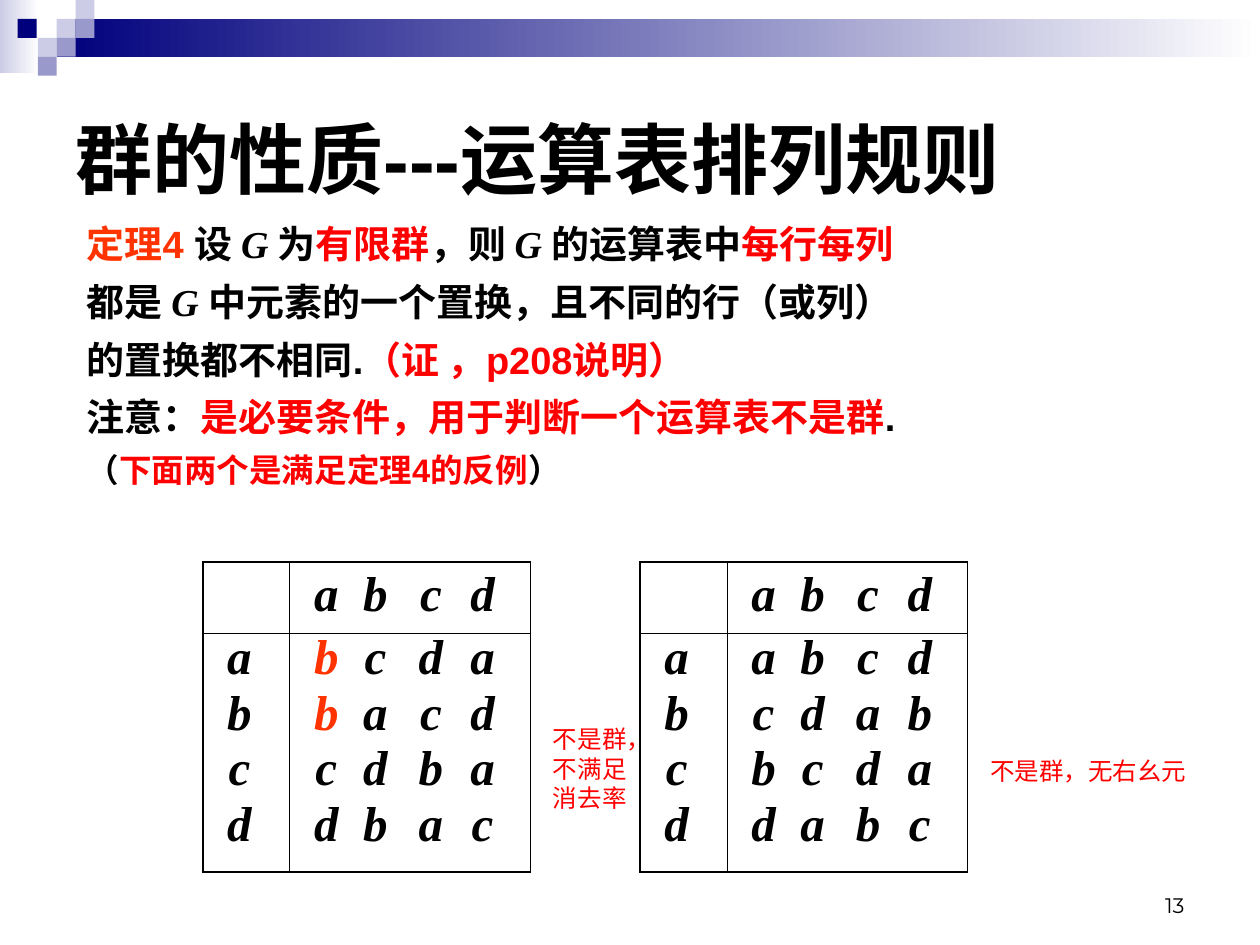
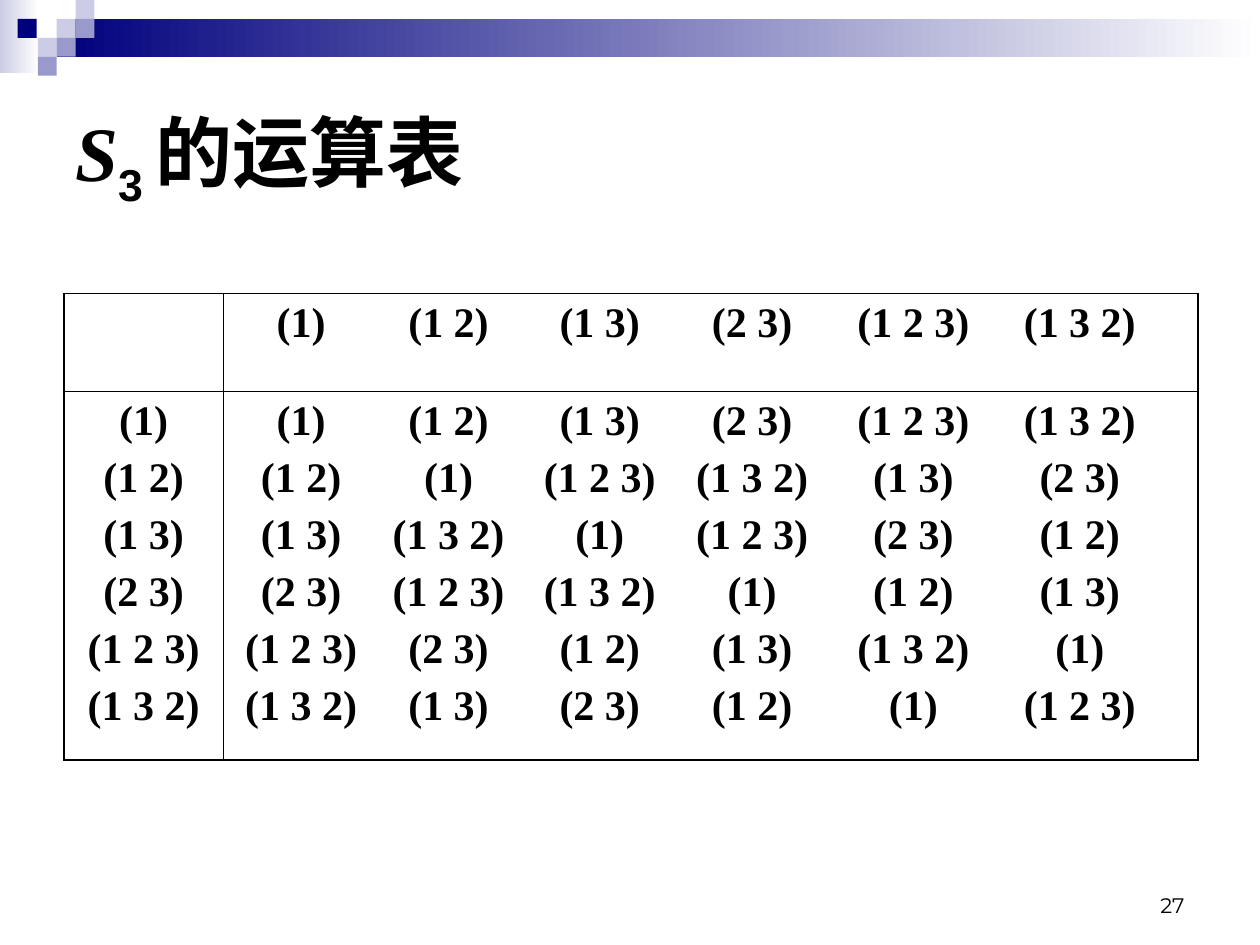
from lxml.etree import SubElement
from pptx import Presentation
from pptx.dml.color import RGBColor
from pptx.enum.lang import MSO_LANGUAGE_ID
from pptx.enum.shapes import MSO_SHAPE
from pptx.enum.text import MSO_ANCHOR, PP_ALIGN
from pptx.oxml.ns import qn
from pptx.util import Inches, Pt

NAVY = RGBColor(0x00, 0x00, 0x7D)
LILAC = RGBColor(0xCC, 0xCC, 0xE6)
VIOLET = RGBColor(0x99, 0x99, 0xCC)
WHITE = RGBColor(0xFF, 0xFF, 0xFF)
BLACK = RGBColor(0x00, 0x00, 0x00)
RED = RGBColor(0xFF, 0x00, 0x00)
ORANGE = RGBColor(0xFF, 0x33, 0x00)

SANS, SERIF, NUMBER = "Arial", "Times New Roman", "Montserrat"
OUTER, INNER = Pt(1.08), Pt(0.45)

TILE = 0.15
TILES = [(0.45, 0.15, LILAC), (0.6, 0, LILAC), (0.6, 0.15, VIOLET),
         (0.3, 0.3, LILAC), (0.14, 0.15, NAVY), (0.45, 0.3, VIOLET),
         (0.3, 0.45, VIOLET)]

# A line of text is a list of pieces: plain strings or (string, overrides).
G = ("G ", dict(name=SERIF, italic=True))
THEOREM = [
    [("定理4 ", dict(color=ORANGE)), "设 ", G, "为", ("有限群", dict(color=RED)),
     "，则 ", G, "的运算表中", ("每行每列", dict(color=RED))],
    ["都是 ", G, "中元素的一个置换，且不同的行（或列）"],
    ["的置换都不相同.", ("（证 ，p208说明）", dict(color=RED))],
    ["注意：", ("是必要条件，用于判断一个运算表不是群", dict(color=RED)), "."],
]
COUNTEREXAMPLES = ["（", ("下面两个是满足定理4的反例", dict(color=RED)), "）"]

LETTERS = ["a", "b", "c", "d"]
LETTER_STOPS = [0.19, 0.58, 1.02, 1.43]
ORANGE_B = ("b", dict(color=ORANGE))
NO_CANCELLATION = [[ORANGE_B, "c", "d", "a"], [ORANGE_B, "a", "c", "d"],
                   "cdba", "dbac"]
NO_IDENTITY = ["abcd", "cdab", "bcda", "dabc"]

PERMUTATIONS = ["(1)", "(1 2)", "(1 3)", "(2 3)", "(1 2 3)", "(1 3 2)"]
PERMUTATION_STOPS = [0.52, 1.69, 2.89, 4.1, 5.38, 6.7]
# Each digit is the place of a product in PERMUTATIONS.
S3_PRODUCTS = ["012345", "104523", "250431", "345012", "431250", "523104"]


def style(font, name=None, size=None, color=None, bold=None, italic=None):
    """Set the given properties of a font."""
    if name:
        font.name = name
    if size:
        font.size = Pt(size)
    if color is not None:
        font.color.rgb = color
    if bold is not None:
        font.bold = bold
    if italic is not None:
        font.italic = italic


def write(paragraph, pieces, before=0, **look):
    """Fill a paragraph with pieces that share one look."""
    paragraph.space_before = Pt(before)
    style(paragraph.font, **look)
    for piece in pieces:
        words, changes = (piece, {}) if isinstance(piece, str) else piece
        changes = dict(changes)
        baseline = changes.pop("baseline", None)
        run = paragraph.add_run()
        run.text = words
        run.font.language_id = MSO_LANGUAGE_ID.SIMPLIFIED_CHINESE
        style(run.font, **changes)
        if baseline:
            run.font._element.set("baseline", str(baseline))


def next_paragraph(frame, index):
    """Give the first paragraph of a frame, or a new one after it."""
    return frame.add_paragraph() if index else frame.paragraphs[0]


def add_text(slide, left, top, width, height, anchor=MSO_ANCHOR.TOP):
    """Add a wrapping text box and return its frame."""
    frame = slide.shapes.add_textbox(Inches(left), Inches(top), Inches(width),
                                     Inches(height)).text_frame
    frame.word_wrap = True
    frame.vertical_anchor = anchor
    return frame


def add_block(slide, left, top, width, height, color, fade=False):
    """Add a rectangle without outline, plain or fading to white."""
    block = slide.shapes.add_shape(MSO_SHAPE.RECTANGLE, Inches(left), Inches(top),
                                   Inches(width), Inches(height))
    block.shadow.inherit = False
    block.line.fill.background()
    if fade:
        block.fill.gradient()
        block.fill.gradient_angle = 0
        for stop, position, tint in zip(block.fill.gradient_stops, (0, 1),
                                        (color, WHITE)):
            stop.position = position
            stop.color.rgb = tint
    else:
        block.fill.solid()
        block.fill.fore_color.rgb = color


def add_page(deck, title, number):
    """Add a slide with the band, the tiles, the title and the page number."""
    slide = deck.slides.add_slide(deck.slide_layouts[6])
    add_block(slide, 0, 0, 0.31, 0.58, LILAC, fade=True)
    add_block(slide, 0.45, 0.15, 9.55, 0.3, NAVY, fade=True)
    for left, top, color in TILES:
        add_block(slide, left, top, TILE, TILE, color)
    footer = add_text(slide, 7.17, 6.83, 2.33, 0.5, MSO_ANCHOR.BOTTOM)
    footer.paragraphs[0].alignment = PP_ALIGN.RIGHT
    write(footer.paragraphs[0], [str(number)], name=NUMBER, size=12, color=BLACK)
    heading = add_text(slide, 0.5, 0.5, 9, 1.5, MSO_ANCHOR.MIDDLE)
    write(heading.paragraphs[0], title, name=SANS, size=44, color=BLACK, bold=True)
    return slide


def add_note(slide, left, top, width, height, words):
    """Add a small red remark."""
    note = add_text(slide, left, top, width, height)
    write(note.paragraphs[0], [words], name=SANS, size=14, color=RED)


def set_tab_stops(paragraph, stops):
    """Give a paragraph centred tab stops, in inches."""
    properties = paragraph._p.get_or_add_pPr()
    tabs = properties.makeelement(qn("a:tabLst"), {})
    for stop in stops:
        SubElement(tabs, qn("a:tab"), pos=str(Inches(stop)), algn="ctr")
    properties.insert_element_before(tabs, "a:defRPr", "a:extLst")


def set_borders(cell, widths):
    """Draw the left, right, top and bottom border of a cell in black."""
    properties = cell._tc.get_or_add_tcPr()
    for place, (side, width) in enumerate(zip("LRTB", widths)):
        border = properties.makeelement(qn(f"a:ln{side}"), {"w": str(width)})
        fill = SubElement(border, qn("a:solidFill"))
        SubElement(fill, qn("a:srgbClr"), val=str(BLACK))
        properties.insert(place, border)


def fill_cell(cell, lines, stops, spacing, look):
    """Write lines into a cell, each entry centred on its tab stop."""
    for index, line in enumerate(lines):
        paragraph = next_paragraph(cell.text_frame, index)
        pieces = [piece for entry in line for piece in ("\t", entry)]
        write(paragraph, pieces, **look)
        paragraph.line_spacing = spacing
        set_tab_stops(paragraph, stops)


def add_operation_table(slide, place, columns, rows, labels, products, stops,
                        label_stop, spacing, look):
    """Add a 2 by 2 table: heads above, labels at the left, products inside."""
    table = slide.shapes.add_table(2, 2, Inches(place[0]), Inches(place[1]),
                                   Inches(sum(columns)), Inches(sum(rows))).table
    table.first_row = table.horz_banding = False
    for column, width in zip(table.columns, columns):
        column.width = Inches(width)
    for row, height in zip(table.rows, rows):
        row.height = Inches(height)
    for r in range(2):
        for c in range(2):
            cell = table.cell(r, c)
            cell.fill.background()
            set_borders(cell, (INNER if c else OUTER, OUTER if c else INNER,
                               INNER if r else OUTER, OUTER if r else INNER))
    fill_cell(table.cell(0, 1), [labels], stops, 1.0, look)
    fill_cell(table.cell(1, 0), [[label] for label in labels], [label_stop],
              spacing, look)
    fill_cell(table.cell(1, 1), products, stops, spacing, look)


def add_rules_slide(deck):
    """Build the slide on how an operation table is arranged."""
    slide = add_page(deck, ["群的性质---运算表排列规则"], 13)
    body = add_text(slide, 0.59, 1.7, 8.9, 2.28)
    look = dict(name=SANS, color=BLACK, bold=True)
    for index, line in enumerate(THEOREM):
        write(next_paragraph(body, index), line, before=7, size=21.7, **look)
    write(body.add_paragraph(), COUNTEREXAMPLES, before=6, size=18.6, **look)

    letters = dict(name=SERIF, size=28, color=BLACK, bold=True, italic=True, before=7)
    for left, products in ((1.61, NO_CANCELLATION), (5.08, NO_IDENTITY)):
        add_operation_table(slide, (left, 4.46), (0.69, 1.91), (0.57, 1.89), LETTERS,
                            products, LETTER_STOPS, LETTER_STOPS[0], 0.8, letters)
    add_note(slide, 4.29, 5.7, 0.79, 0.8, "不是群，不满足消去率")
    add_note(slide, 7.76, 5.95, 2.05, 0.34, "不是群，无右幺元")


def add_s3_slide(deck):
    """Build the slide with the operation table of S3."""
    title = [("S", dict(name=SERIF, italic=True)), ("3 ", dict(baseline=-25000)),
             "的运算表"]
    slide = add_page(deck, title, 27)
    products = [[PERMUTATIONS[int(digit)] for digit in row] for row in S3_PRODUCTS]
    look = dict(name=SERIF, size=24, color=BLACK, bold=True, before=6)
    add_operation_table(slide, (0.51, 2.33), (1.26, 7.74), (0.78, 2.92), PERMUTATIONS,
                        products, PERMUTATION_STOPS, 0.53, 1.0, look)


def main():
    """Build both slides and save them."""
    deck = Presentation()
    deck.slide_width, deck.slide_height = Inches(10), Inches(7.5)
    add_rules_slide(deck)
    add_s3_slide(deck)
    deck.save("out.pptx")


main()
